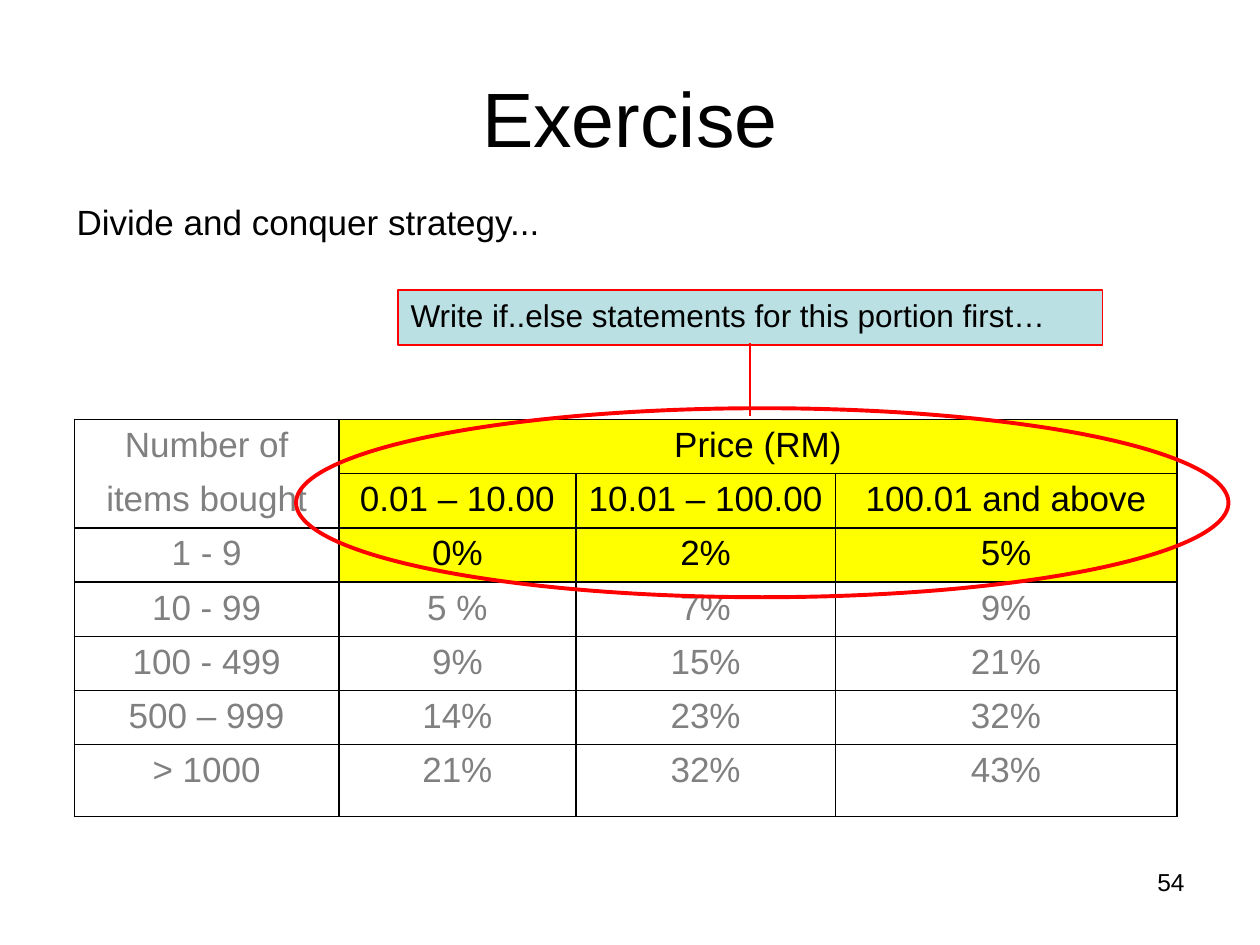
from pptx import Presentation
from pptx.dml.color import RGBColor
from pptx.enum import shapes, text
from pptx.oxml import parse_xml
from pptx.oxml.ns import nsdecls
from pptx.util import Inches, Pt

theme = {
    "font": "Arial",
    "black": RGBColor(0, 0, 0),
    "gray": RGBColor(0x80, 0x80, 0x80),
    "red": RGBColor(0xFF, 0, 0),
    "yellow": RGBColor(0xFF, 0xFF, 0),
    "blue": RGBColor(0xBB, 0xE0, 0xE3),
    "title": Pt(44),
    "body": Pt(20),
    "note": Pt(18),
    "page": Pt(14),
}
align = text.PP_ALIGN


def write(frame, words, size, side, color="black", anchor=text.MSO_ANCHOR.TOP):
    frame.text = words
    frame.word_wrap = True
    frame.vertical_anchor = anchor
    para = frame.paragraphs[0]
    para.alignment = side
    font = para.runs[0].font
    font.name = theme["font"]
    font.size = theme[size]
    font.color.rgb = theme[color]
    return para


def border(cell, open_side):
    props = cell._tc.get_or_add_tcPr()
    for spot, side in enumerate("LRTB"):
        if side == open_side:
            paint = "<a:noFill/>"
        else:
            paint = f'<a:solidFill><a:srgbClr val="{theme["black"]}"/></a:solidFill>'
        line = f'<a:ln{side} {nsdecls("a")} w="{Pt(1)}">{paint}</a:ln{side}>'
        props.insert(spot, parse_xml(line))


deck = Presentation()
deck.slide_width, deck.slide_height = Inches(10), Inches(7.5)
slide = deck.slides.add_slide(deck.slide_layouts[5])

title = slide.shapes.title
title.left, title.top = Inches(0.5), Inches(0.3)
title.width, title.height = Inches(9), Inches(1.25)
write(title.text_frame, "Exercise", "title", align.CENTER, anchor=text.MSO_ANCHOR.MIDDLE)

rows = [
    ["Number of", "Price (RM)", "", ""],
    ["items bought", "0.01 – 10.00", "10.01 – 100.00", "100.01 and above"],
    ["1 - 9", "0%", "2%", "5%"],
    ["10 - 99", "5 %", "7%", "9%"],
    ["100 - 499", "9%", "15%", "21%"],
    ["500 – 999", "14%", "23%", "32%"],
    ["> 1000", "21%", "32%", "43%"],
]
widths = [2.1, 1.88, 2.06, 2.71]
heights = [0.43] * 6 + [0.57]
table = slide.shapes.add_table(
    len(rows), len(widths), Inches(0.59), Inches(3.33),
    Inches(sum(widths)), Inches(sum(heights)),
).table
table.first_row = table.horz_banding = False
for col, width in zip(table.columns, widths):
    col.width = Inches(width)
for row, height in zip(table.rows, heights):
    row.height = Inches(height)
table.cell(0, 1).merge(table.cell(0, 3))

for r, row in enumerate(rows):
    for c, words in enumerate(row):
        cell = table.cell(r, c)
        focus = r < 3 and c > 0
        if focus:
            cell.fill.solid()
            cell.fill.fore_color.rgb = theme["yellow"]
        else:
            cell.fill.background()
        border(cell, {(0, 0): "B", (1, 0): "T"}.get((r, c)))
        if words:
            write(cell.text_frame, words, "body", align.CENTER, "black" if focus else "gray")

intro = slide.shapes.add_textbox(Inches(0.51), Inches(1.54), Inches(9), Inches(1.86))
para = write(intro.text_frame, "Divide and conquer strategy...", "body", align.JUSTIFY)
para.space_before = Pt(4)

page = slide.shapes.add_textbox(Inches(7.17), Inches(6.83), Inches(2.33), Inches(0.52))
write(page.text_frame, "54", "page", align.RIGHT)

note = slide.shapes.add_shape(
    shapes.MSO_SHAPE.LINE_CALLOUT_1, Inches(3.16), Inches(2.3), Inches(5.59), Inches(0.44)
)
for spot, value in enumerate([0.96, 0.5, 2.27, 0.5]):
    note.adjustments[spot] = value
note.fill.solid()
note.fill.fore_color.rgb = theme["blue"]
write(note.text_frame, "Write if..else statements for this portion first…", "note", align.LEFT)

ring = slide.shapes.add_shape(
    shapes.MSO_SHAPE.OVAL, Inches(2.35), Inches(3.24), Inches(7.4), Inches(1.5)
)
ring.fill.background()
for shape, weight in [(note, 1), (ring, 2.25)]:
    shape.shadow.inherit = False
    shape.line.color.rgb = theme["red"]
    shape.line.width = Pt(weight)

deck.save("out.pptx")
